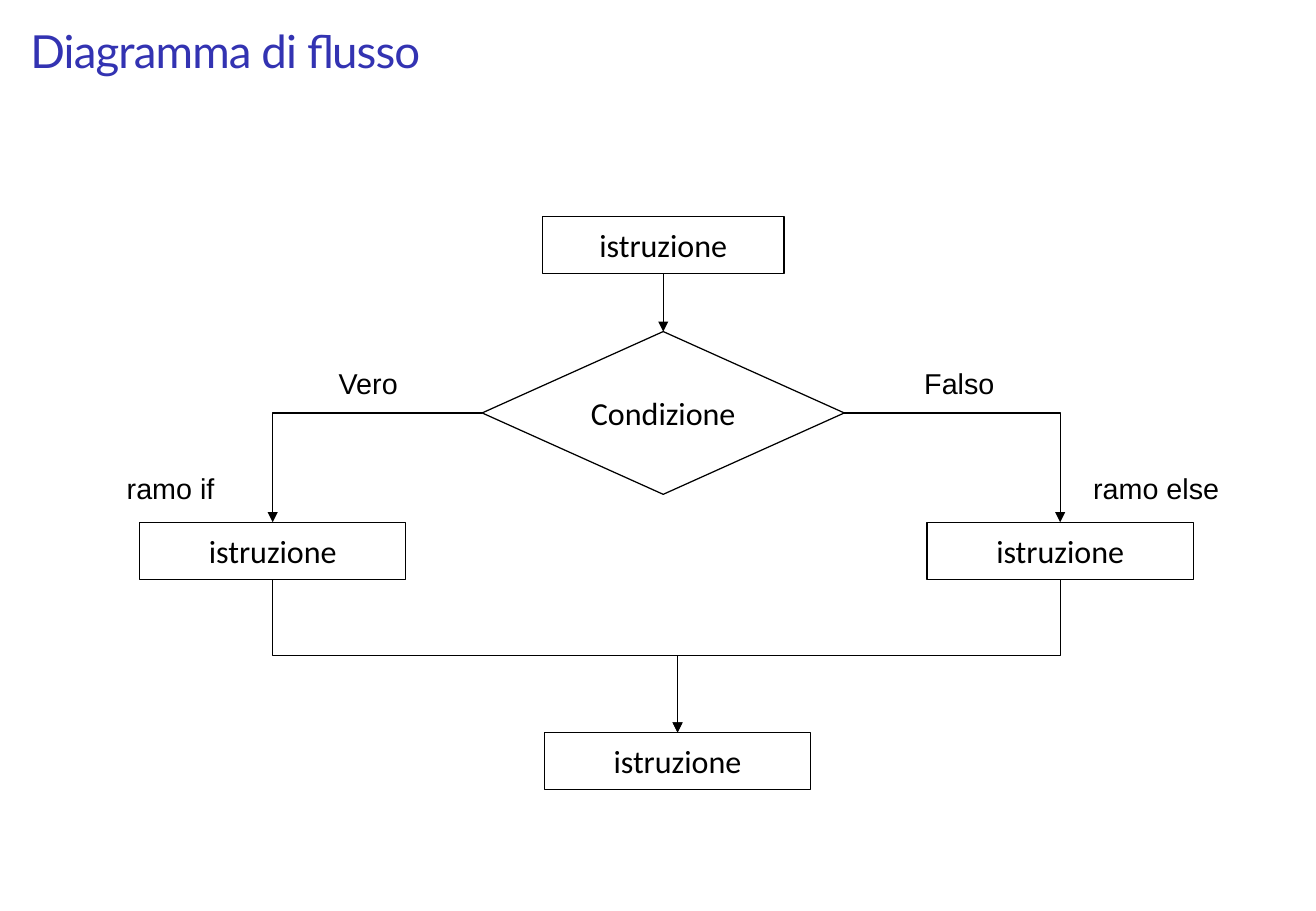
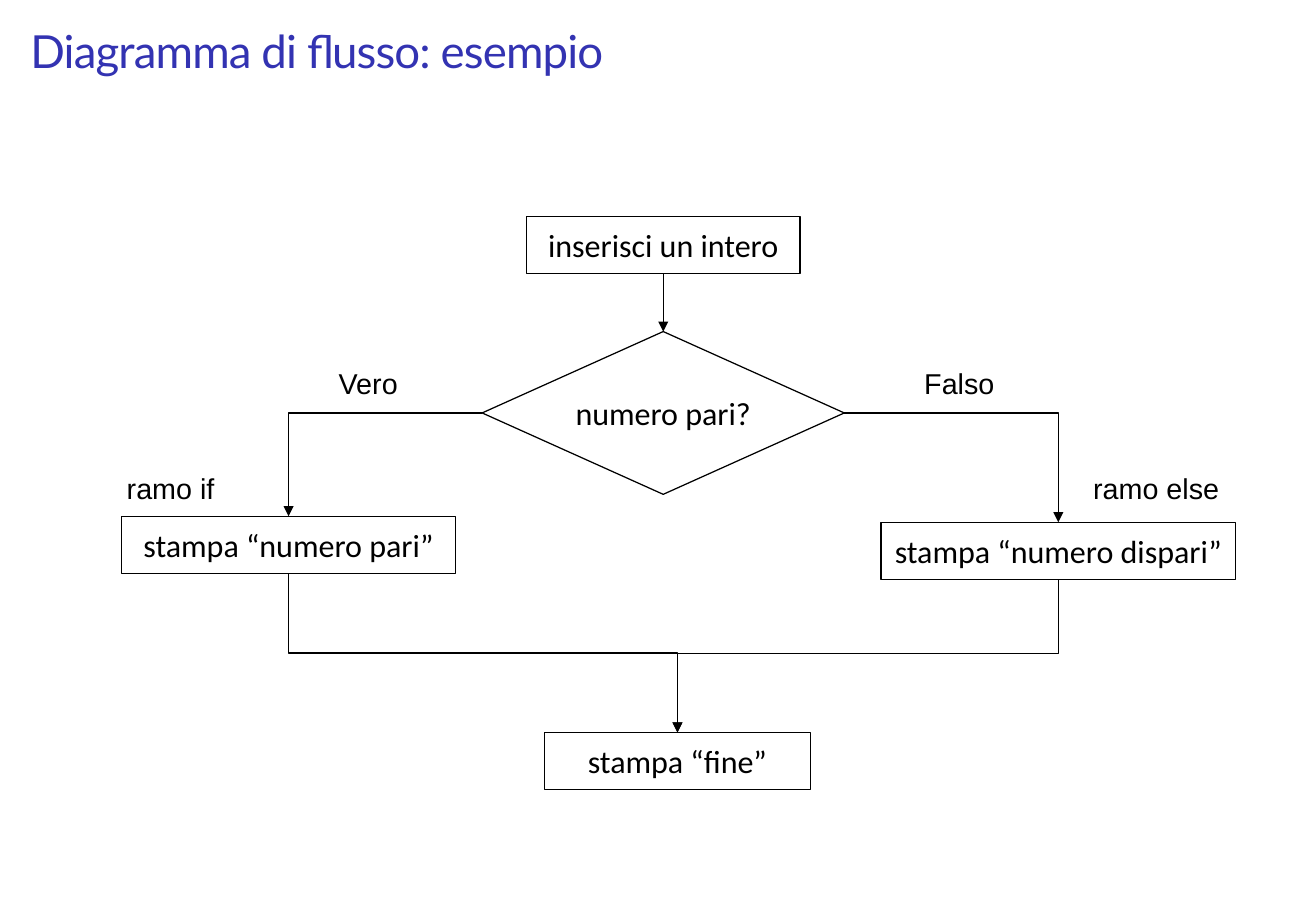
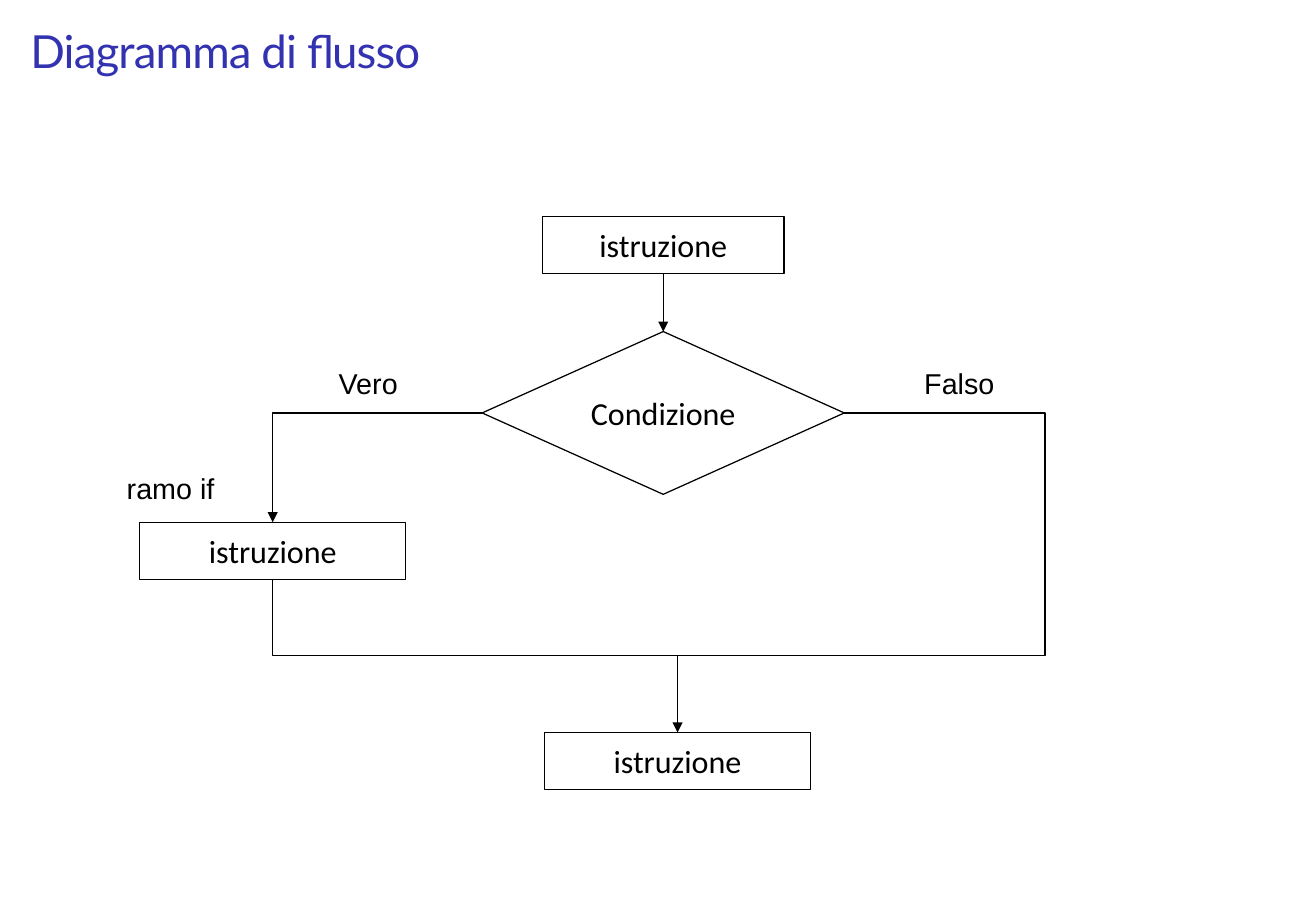
from dataclasses import dataclass

from lxml.etree import SubElement
from pptx import Presentation
from pptx.dml.color import RGBColor
from pptx.enum.shapes import MSO_CONNECTOR, MSO_SHAPE
from pptx.enum.text import MSO_ANCHOR, MSO_AUTO_SIZE, PP_ALIGN
from pptx.oxml.ns import qn
from pptx.util import Inches, Pt

COLORS = {"title": "3333B2", "ink": "000000", "paper": "FFFFFF"}
SLIDE_WIDTH, SLIDE_HEIGHT = Inches(10.83), Inches(7.5)
TOP, LEFT, BOTTOM, RIGHT = range(4)

# The slide is a grid of 100 columns by 100 rows.
BOX_ROWS = 6.29
START_ROW, DECISION_ROW, BRANCH_ROW, END_ROW = 23.75, 36.4, 57.33, 80.4
MAIN_COLUMN, END_COLUMN = 50.4, 51.48
DECISION_SIZE = (27.52, 17.87)
PLAIN_WIDTH = 20.22
LABEL_SIZE = (12, 5.2)
LABELS = {
    "Vero": (27.98, 39.47),
    "Falso": (72.9, 39.47),
    "ramo if": (12.97, 51.07),
    "ramo else": (87.86, 51.07),
}


@dataclass
class Step:
    text: str
    center: float
    width: float = PLAIN_WIDTH
    row: float = BRANCH_ROW


def columns(count):
    return round(SLIDE_WIDTH * count / 100)


def rows(count):
    return round(SLIDE_HEIGHT * count / 100)


def centered_box(center, row, size):
    """Left, top, width and height of a box centred on a column."""
    width, height = size
    return columns(center - width / 2), rows(row), columns(width), rows(height)


def color(name):
    return RGBColor.from_string(COLORS[name])


def write(shape, text, font, size, ink="ink", align=PP_ALIGN.CENTER):
    shape.text_frame.text = text
    paragraph = shape.text_frame.paragraphs[0]
    paragraph.alignment = align
    run = paragraph.runs[0]
    run.font.name = font
    run.font.size = Pt(size)
    run.font.color.rgb = color(ink)
    return paragraph


def set_margins(frame, horizontal, vertical):
    frame.margin_left = frame.margin_right = Inches(horizontal)
    frame.margin_top = frame.margin_bottom = Inches(vertical)


def add_title(slide, text):
    title = slide.shapes.title
    title.left, title.top = columns(2.03), rows(2.53)
    title.width, title.height = columns(95.94), rows(6)
    frame = title.text_frame
    paragraph = write(title, text, "Lato", 27, "title", PP_ALIGN.LEFT)
    frame.auto_size = MSO_AUTO_SIZE.NONE
    frame.vertical_anchor = MSO_ANCHOR.TOP
    set_margins(frame, 0, 0)
    paragraph.runs[0].font._element.set("spc", "-50")
    paragraph._p.get_or_add_pPr().set("marL", str(Inches(0.03)))


def add_node(slide, kind, text, box):
    node = slide.shapes.add_shape(kind, *box)
    node.shadow.inherit = False
    node.fill.background()
    node.line.color.rgb = color("ink")
    node.line.width = Pt(0.75)
    write(node, text, "Calibri", 19)
    node.text_frame.word_wrap = False
    node.text_frame.vertical_anchor = MSO_ANCHOR.MIDDLE
    set_margins(node.text_frame, 0, 0)
    return node


def add_step(slide, step):
    box = centered_box(step.center, step.row, (step.width, BOX_ROWS))
    return add_node(slide, MSO_SHAPE.RECTANGLE, step.text, box)


def add_label(slide, text):
    label = slide.shapes.add_textbox(*centered_box(*LABELS[text], LABEL_SIZE))
    label.text_frame.word_wrap = True
    write(label, text, "Arial", 17)


def side_point(shape, side):
    """Middle of one side of a shape."""
    x = shape.left + shape.width * {LEFT: 0, RIGHT: 2}.get(side, 1) // 2
    y = shape.top + shape.height * {TOP: 0, BOTTOM: 2}.get(side, 1) // 2
    return x, y


def add_line(slide, kind, start, end, arrow=True):
    line = slide.shapes.add_connector(kind, *start, *end)
    line.line.color.rgb = color("ink")
    line.line.width = Pt(0.75)
    if arrow:
        SubElement(line.line._get_or_add_ln(), qn("a:tailEnd"), type="triangle")
    SubElement(line._element.spPr, qn("a:effectLst"))
    return line


def join(slide, kind, source, source_side, target):
    """Arrow from a side of the source to the top of the target."""
    line = add_line(slide, kind, side_point(source, source_side), side_point(target, TOP))
    line.begin_connect(source, source_side)
    line.end_connect(target, TOP)
    return line


def set_bend(line, share):
    guides = line._element.spPr.find(qn("a:prstGeom")).get_or_add_avLst()
    SubElement(guides, qn("a:gd"), name="adj1", fmla=f"val {round(share * 100000)}")


def add_corner(slide, decision, side, step):
    line = join(slide, MSO_CONNECTOR.ELBOW, decision, side, step)
    line._element.spPr.find(qn("a:prstGeom")).set("prst", "bentConnector2")


def add_merge(slide, step, end, merge_row):
    """Elbow that goes down, across at the merge row, and down again."""
    line = join(slide, MSO_CONNECTOR.ELBOW, step, BOTTOM, end)
    (x1, y1), (x2, y2) = side_point(step, BOTTOM), side_point(end, TOP)
    across, down = abs(x2 - x1), y2 - y1
    line.left, line.top = (x1 + x2 - down) // 2, (y1 + y2 - across) // 2
    line.width, line.height = down, across
    rightward = x2 > x1
    transform = line._element.spPr.find(qn("a:xfrm"))
    transform.set("rot", str((270 if rightward else 90) * 60000))
    transform.set("flipH", "1" if rightward else "0")
    set_bend(line, (rows(merge_row) - y1) / down)


def add_bypass(slide, decision, merge_row, column):
    """Elbow round an empty branch, back to the merge point."""
    start = side_point(decision, RIGHT)
    end = columns(END_COLUMN), rows(merge_row)
    line = add_line(slide, MSO_CONNECTOR.ELBOW, start, end, arrow=False)
    line.begin_connect(decision, RIGHT)
    set_bend(line, (columns(column) - start[0]) / (end[0] - start[0]))


def add_flow_slide(presentation, title, condition, start, if_step, end,
                   else_step=None, merge_row=72):
    slide = presentation.slides.add_slide(presentation.slide_layouts[5])
    slide.background.fill.solid()
    slide.background.fill.fore_color.rgb = color("paper")
    add_title(slide, title)
    decision = add_node(slide, MSO_SHAPE.FLOWCHART_DECISION, condition,
                        centered_box(MAIN_COLUMN, DECISION_ROW, DECISION_SIZE))
    start_box, end_box = add_step(slide, start), add_step(slide, end)
    join(slide, MSO_CONNECTOR.STRAIGHT, start_box, BOTTOM, decision)

    for side, step in ((LEFT, if_step), (RIGHT, else_step)):
        if step:
            box = add_step(slide, step)
            add_corner(slide, decision, side, box)
            add_merge(slide, box, end_box, merge_row)
        else:
            add_bypass(slide, decision, merge_row, 79.41)

    for text in LABELS:
        if else_step or text != "ramo else":
            add_label(slide, text)


def main():
    presentation = Presentation()
    presentation.slide_width, presentation.slide_height = SLIDE_WIDTH, SLIDE_HEIGHT
    generic = {
        "title": "Diagramma di flusso",
        "condition": "Condizione",
        "start": Step("istruzione", MAIN_COLUMN, 18.38, START_ROW),
        "if_step": Step("istruzione", 20.73),
        "end": Step("istruzione", END_COLUMN, row=END_ROW),
    }
    add_flow_slide(presentation, **generic, else_step=Step("istruzione", 80.56))
    add_flow_slide(
        presentation,
        title="Diagramma di flusso: esempio",
        condition="numero pari?",
        start=Step("inserisci un intero", MAIN_COLUMN, 20.78, START_ROW),
        if_step=Step("stampa “numero pari”", 21.93, 25.39, 56.67),
        end=Step("stampa “fine”", END_COLUMN, row=END_ROW),
        else_step=Step("stampa “numero dispari”", 80.42, 26.96),
        merge_row=71.7,
    )
    add_flow_slide(presentation, **generic)
    presentation.save("out.pptx")


if __name__ == "__main__":
    main()
